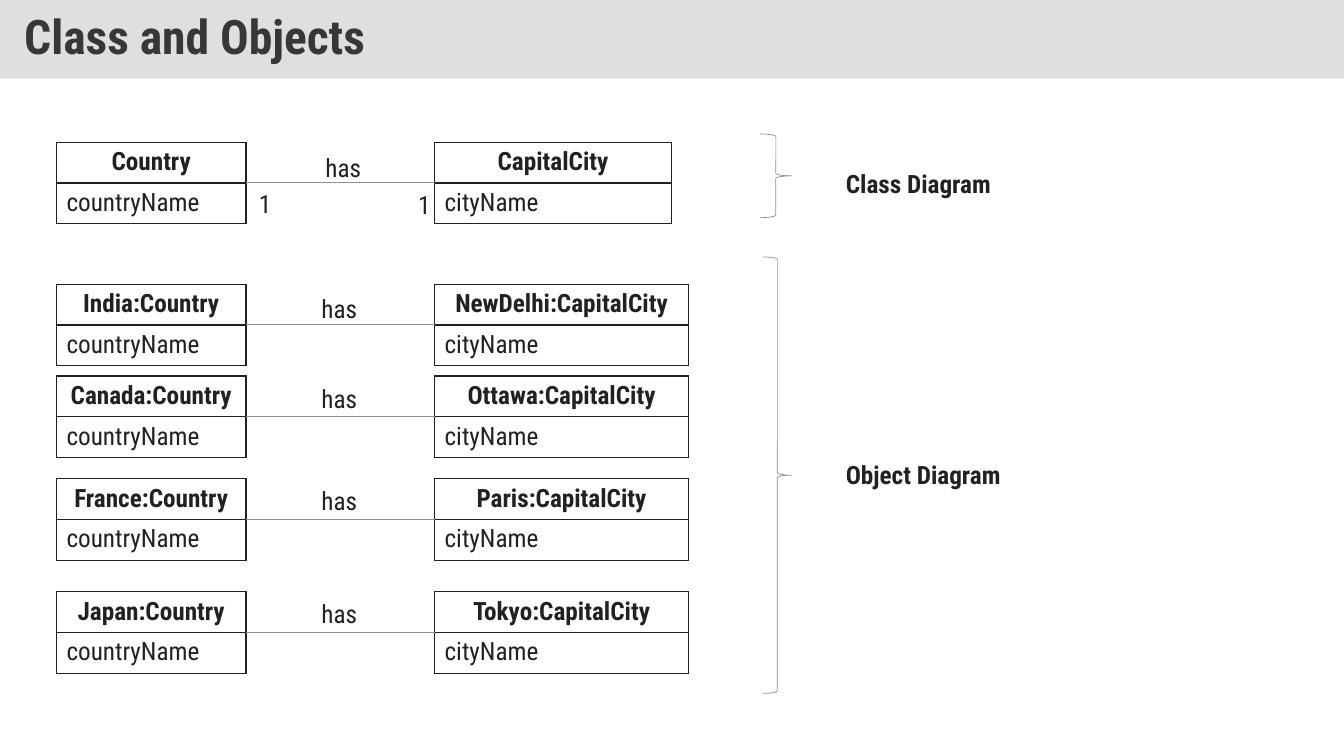
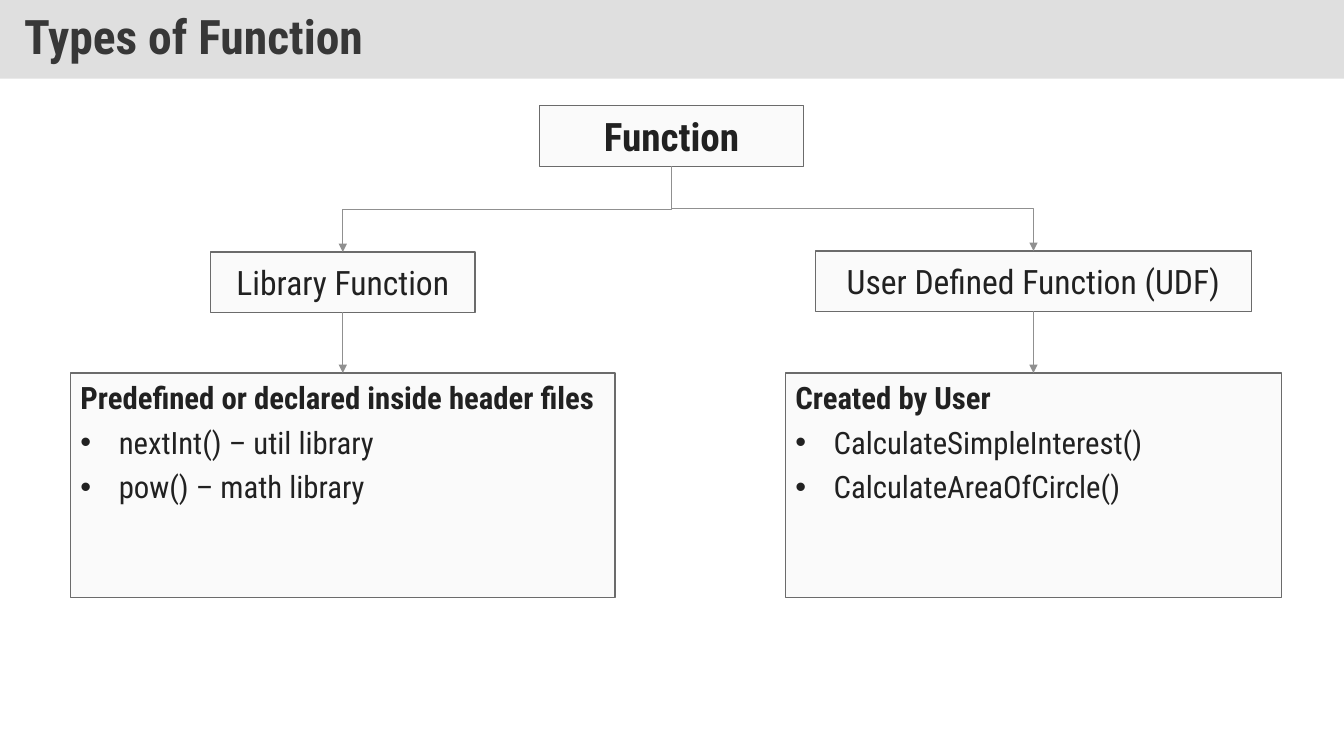
"""Build two lecture slides: class and object diagrams, and types of function."""
from lxml import etree
from pptx import Presentation
from pptx.dml.color import RGBColor
from pptx.enum.shapes import MSO_CONNECTOR, MSO_SHAPE
from pptx.enum.text import MSO_ANCHOR, MSO_AUTO_SIZE, PP_ALIGN
from pptx.oxml.ns import qn
from pptx.util import Pt

EMU_PER_PX = 9144
SLIDE_W, SLIDE_H = 1333, 750
FONT = "Roboto Condensed"
BAND = RGBColor(0xC0, 0xC0, 0xC0)
TITLE = RGBColor(0x37, 0x37, 0x37)
INK = RGBColor(0x21, 0x21, 0x21)
RULE = RGBColor(0x90, 0x90, 0x90)
BOX_FILL = RGBColor(0xFA, 0xFA, 0xFA)
BOX_EDGE = RGBColor(0x6B, 0x6B, 0x6B)

RECTANGLE, BRACE = MSO_SHAPE.RECTANGLE, MSO_SHAPE.RIGHT_BRACE
STRAIGHT, ELBOW = MSO_CONNECTOR.STRAIGHT, MSO_CONNECTOR.ELBOW
LEFT, CENTER = PP_ALIGN.LEFT, PP_ALIGN.CENTER
TOP, MIDDLE = MSO_ANCHOR.TOP, MSO_ANCHOR.MIDDLE
NO_FIT, GROW = MSO_AUTO_SIZE.NONE, MSO_AUTO_SIZE.SHAPE_TO_FIT_TEXT
TOP_SITE, BOTTOM_SITE = 0, 2

COUNTRY_LEFT, COUNTRY_W = 56, 188
CAPITAL_LEFT, CAPITAL_W = 431, 252
CLASS_CAPITAL_W = 235
CLASS_H = 81
OBJECT_PAIRS = [
    ("India", "NewDelhi", 282, 286),
    ("Canada", "Ottawa", 373, 375),
    ("France", "Paris", 475, 477),
    ("Japan", "Tokyo", 587, 589),
]


def px(*lengths):
    """Turn pixel lengths into a list of EMU."""
    return [length * EMU_PER_PX for length in lengths]


def style(paragraph, size, bold=False, color=INK, align=LEFT):
    """Set the font and alignment of a paragraph."""
    paragraph.alignment = align
    font = paragraph.font
    font.name, font.size, font.bold = FONT, Pt(size), bold
    font.color.rgb = color


def add_titled_slide(prs, title):
    """Add a slide whose title sits in the grey band."""
    slide = prs.slides.add_slide(prs.slide_layouts[5])
    band = slide.shapes.title
    band.left, band.top, band.width, band.height = px(0, 0, SLIDE_W, 78)
    band.fill.solid()
    band.fill.fore_color.rgb = BAND
    rgb = band.fill._xPr.find(qn("a:solidFill")).find(qn("a:srgbClr"))
    etree.SubElement(rgb, qn("a:alpha")).set("val", "50000")
    frame = band.text_frame
    frame.text = title
    frame.auto_size, frame.word_wrap = NO_FIT, True
    frame.vertical_anchor = MIDDLE
    frame.margin_left, frame.margin_right = px(24, 24)
    frame.margin_top, frame.margin_bottom = px(12, 12)
    frame.paragraphs[0].line_spacing = 0.9
    style(frame.paragraphs[0], 34, True, TITLE)
    return slide


def add_label(slide, text, left, top, width, bold=False):
    """Add a one-line label."""
    label = slide.shapes.add_textbox(*px(left, top, width, 40))
    frame = label.text_frame
    frame.word_wrap, frame.auto_size = False, GROW
    frame.text = text
    style(frame.paragraphs[0], 18, bold)


def add_cell_borders(cell):
    """Draw a thin dark line on each side of a table cell."""
    properties = cell._tc.get_or_add_tcPr()
    for side in ("lnL", "lnR", "lnT", "lnB"):
        border = etree.SubElement(properties, qn(f"a:{side}"), w=str(Pt(1)))
        solid = etree.SubElement(border, qn("a:solidFill"))
        etree.SubElement(solid, qn("a:srgbClr"), val=str(INK))


def add_class_table(slide, name, attribute, left, top, width):
    """Add a class box: bold name above its attribute."""
    table = slide.shapes.add_table(2, 1, *px(left, top, width, CLASS_H)).table
    table.first_row = table.horz_banding = False
    for row, text in enumerate((name, attribute)):
        cell = table.cell(row, 0)
        cell.text = text
        add_cell_borders(cell)
        cell.fill.background()
        is_name = row == 0
        style(cell.text_frame.paragraphs[0], 18, is_name,
              align=CENTER if is_name else LEFT)


def finish_line(connector, arrow=False):
    """Give a connector its thin grey line and optional arrowhead."""
    connector.line.color.rgb = RULE
    connector.line.width = Pt(0.5)
    properties = connector.element.spPr
    if arrow:
        etree.SubElement(properties.find(qn("a:ln")), qn("a:tailEnd"), type="triangle")
    etree.SubElement(properties, qn("a:effectLst"))


def add_association(slide, country, capital, capital_w, top, label_left, label_top):
    """Add a country and a capital joined by a 'has' line."""
    add_class_table(slide, country, "countryName", COUNTRY_LEFT, top, COUNTRY_W)
    add_class_table(slide, capital, "cityName", CAPITAL_LEFT, top, capital_w)
    line_y = top + CLASS_H // 2
    finish_line(slide.shapes.add_connector(
        STRAIGHT, *px(COUNTRY_LEFT + COUNTRY_W, line_y, CAPITAL_LEFT, line_y)))
    add_label(slide, "has", label_left, label_top, 56)


def add_brace(slide, left, top, width, height):
    """Add a thin right brace."""
    brace = slide.shapes.add_shape(BRACE, *px(left, top, width, height))
    brace.shadow.inherit = False
    brace.fill.background()
    brace.line.color.rgb = RULE
    brace.line.width = Pt(0.5)


def add_box(slide, left, top, width, height):
    """Add a pale outlined box."""
    box = slide.shapes.add_shape(RECTANGLE, *px(left, top, width, height))
    box.shadow.inherit = False
    box.fill.solid()
    box.fill.fore_color.rgb = BOX_FILL
    box.line.color.rgb = BOX_EDGE
    box.line.width = Pt(1)
    box.text_frame.word_wrap = True
    return box


def add_heading_box(slide, text, left, top, width, size, bold=False):
    """Add a box with one centred heading."""
    box = add_box(slide, left, top, width, 60)
    box.text_frame.text = text
    box.text_frame.vertical_anchor = MIDDLE
    style(box.text_frame.paragraphs[0], size, bold, align=CENTER)
    return box


def add_detail_box(slide, heading, examples, left, width):
    """Add a box with a bold heading and bulleted examples."""
    box = add_box(slide, left, 370, width, 223)
    frame = box.text_frame
    frame.vertical_anchor = TOP
    frame.margin_top, frame.margin_bottom = px(10, 10)
    frame.text = "\n".join([heading, *examples])
    indent, = px(38)
    for index, paragraph in enumerate(frame.paragraphs):
        paragraph.line_spacing = 0.9
        paragraph.space_after = Pt(8)
        if index:
            properties = paragraph._p.get_or_add_pPr()
            properties.set("marL", str(indent))
            properties.set("indent", str(-indent))
            etree.SubElement(properties, qn("a:buFont"), typeface="Arial")
            etree.SubElement(properties, qn("a:buChar"), char="•")
        style(paragraph, 22, index == 0)
    return box


def join_down(slide, upper, lower, kind=STRAIGHT):
    """Join the bottom of one box to the top of another with an arrow."""
    start_x, start_y = upper.left + upper.width // 2, upper.top + upper.height
    end_x, end_y = lower.left + lower.width // 2, lower.top
    arrow = slide.shapes.add_connector(kind, start_x, start_y, end_x, end_y)
    arrow.begin_connect(upper, BOTTOM_SITE)
    arrow.end_connect(lower, TOP_SITE)
    if kind == ELBOW:
        drop, spread = end_y - start_y, abs(end_x - start_x)
        arrow.left = (start_x + end_x - drop) // 2
        arrow.top = (start_y + end_y - spread) // 2
        arrow.width, arrow.height = drop, spread
        goes_right = end_x > start_x
        transform = arrow.element.spPr.find(qn("a:xfrm"))
        transform.set("rot", "16200000" if goes_right else "5400000")
        transform.set("flipH", "1" if goes_right else "0")
        transform.set("flipV", "0")
    finish_line(arrow, arrow=True)


def build_class_slide(prs):
    """Build the class and object diagrams."""
    slide = add_titled_slide(prs, "Class and Objects")
    add_association(slide, "Country", "CapitalCity", CLASS_CAPITAL_W, 141, 313, 146)
    add_label(slide, "1", 247, 182, 33)
    add_label(slide, "1", 405, 183, 33)
    for country, capital, top, label_top in OBJECT_PAIRS:
        add_association(slide, f"{country}:Country", f"{capital}:CapitalCity",
                        CAPITAL_W, top, 309, label_top)
    add_brace(slide, 754, 133, 31, 83)
    add_label(slide, "Class Diagram", 829, 162, 165, True)
    add_brace(slide, 757, 255, 28, 433)
    add_label(slide, "Object Diagram", 829, 451, 175, True)


def build_function_slide(prs):
    """Build the tree of function types."""
    slide = add_titled_slide(prs, "Types of Function")
    function = add_heading_box(slide, "Function", 535, 105, 262, 28, True)
    library = add_heading_box(slide, "Library Function", 209, 250, 262, 24)
    user = add_heading_box(slide, "User Defined Function (UDF)", 809, 249, 432, 24)
    library_detail = add_detail_box(
        slide, "Predefined or declared inside header files",
        ["nextInt() – util library", "pow() – math library"], 70, 540)
    user_detail = add_detail_box(
        slide, "Created by User",
        ["CalculateSimpleInterest()", "CalculateAreaOfCircle()"], 779, 492)
    for kind, detail in ((library, library_detail), (user, user_detail)):
        join_down(slide, function, kind, ELBOW)
        join_down(slide, kind, detail)


def main():
    """Build and save the presentation."""
    prs = Presentation()
    prs.slide_width, prs.slide_height = px(SLIDE_W, SLIDE_H)
    build_class_slide(prs)
    build_function_slide(prs)
    prs.save("out.pptx")


if __name__ == "__main__":
    main()
